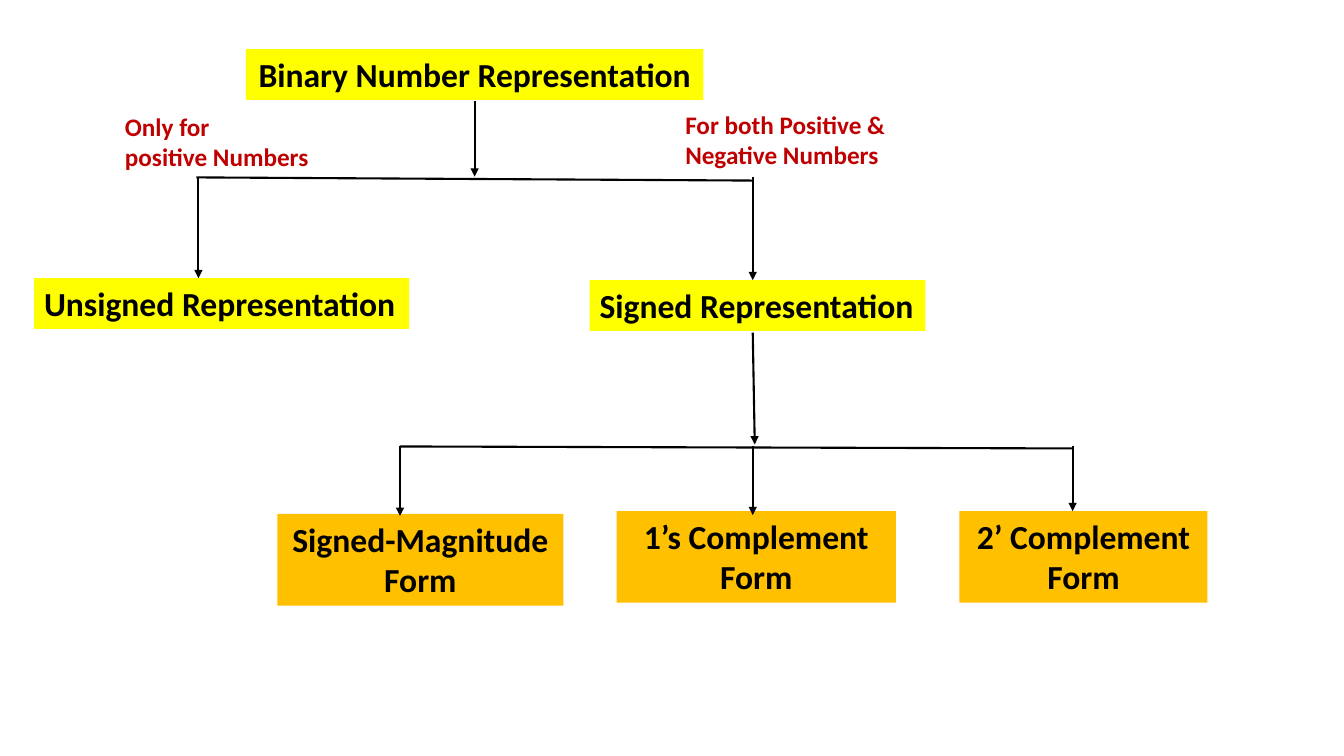
"""Build a slide with a tree of binary number representations."""
from lxml import etree
from pptx import Presentation
from pptx import util as u
from pptx.dml.color import RGBColor
from pptx.enum import shapes, text
from pptx.oxml.ns import qn

BLACK = RGBColor(0x00, 0x00, 0x00)
YELLOW = RGBColor(0xFF, 0xFF, 0x00)
ORANGE = RGBColor(0xFF, 0xC0, 0x00)
RED = RGBColor(0xC0, 0x00, 0x00)
LEFT, MID = text.PP_ALIGN.LEFT, text.PP_ALIGN.CENTER

deck = Presentation()
deck.slide_width, deck.slide_height = u.Cm(33.87), u.Cm(19.05)
slide = deck.slides.add_slide(deck.slide_layouts[6])

labels = [
    ("Binary Number Representation", 6.2, 1.24, 11.53, 1.28, YELLOW, MID),
    ("Unsigned Representation", 0.86, 7.01, 9.45, 1.28, YELLOW, LEFT),
    ("Signed Representation", 14.86, 7.06, 8.46, 1.28, YELLOW, LEFT),
    ("Signed-Magnitude Form", 6.99, 12.95, 7.21, 2.31, ORANGE, MID),
    ("1’s Complement Form", 15.54, 12.88, 7.04, 2.31, ORANGE, MID),
    ("2’ Complement Form", 24.18, 12.88, 6.25, 2.31, ORANGE, MID),
    ("Only for\npositive Numbers", 2.9, 2.67, 5.18, 1.8, None, LEFT),
    ("For both Positive & Negative Numbers", 17.02, 2.62, 5.87, 1.8, None, LEFT),
]
for words, left, top, width, height, fill, align in labels:
    box = slide.shapes.add_textbox(u.Cm(left), u.Cm(top), u.Cm(width), u.Cm(height))
    if fill:
        box.fill.solid()
        box.fill.fore_color.rgb = fill
    frame = box.text_frame
    frame.word_wrap = True
    frame.auto_size = text.MSO_AUTO_SIZE.SHAPE_TO_FIT_TEXT
    frame.text = words
    for para in frame.paragraphs:
        para.alignment = align
        for run in para.runs:
            run.font.name = "Calibri"
            run.font.size = u.Pt(24 if fill else 18)
            run.font.bold = True
            run.font.color.rgb = BLACK if fill else RED

links = [
    (11.96, 2.54, 11.96, 4.45, True),
    (4.95, 4.47, 18.97, 4.55, False),
    (5, 4.47, 5, 7.01, True),
    (18.97, 4.45, 18.97, 7.06, True),
    (18.97, 8.38, 19.02, 11.2, True),
    (10.08, 11.25, 27.03, 11.3, False),
    (10.08, 11.25, 10.08, 13, True),
    (18.97, 11.23, 18.97, 12.98, True),
    (27.03, 11.25, 27.03, 12.88, True),
]
for *ends, arrow in links:
    link = slide.shapes.add_connector(shapes.MSO_CONNECTOR.STRAIGHT, *map(u.Cm, ends))
    link.line.color.rgb = BLACK
    link.line.width = u.Pt(1.5)
    props = link._element.spPr
    if arrow:
        etree.SubElement(props.find(qn("a:ln")), qn("a:tailEnd"), type="triangle")
    etree.SubElement(props, qn("a:effectLst"))

deck.save("out.pptx")
